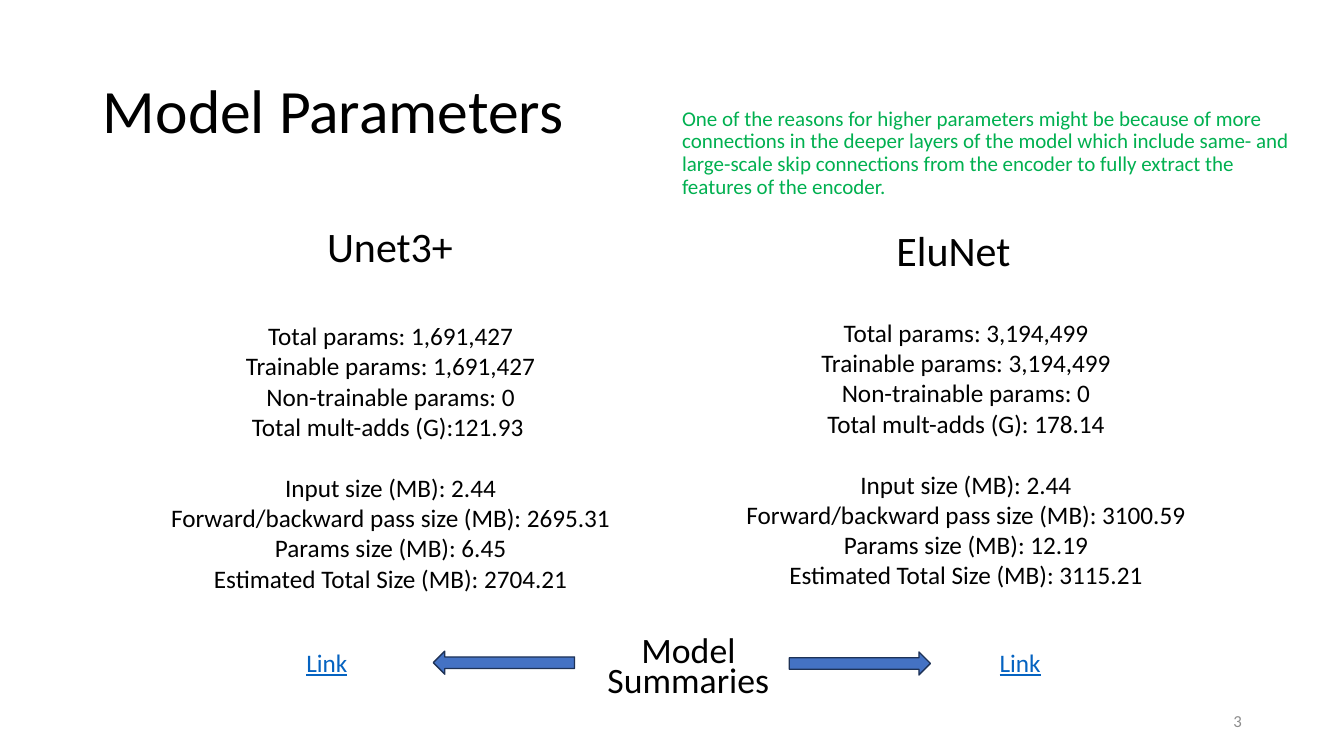
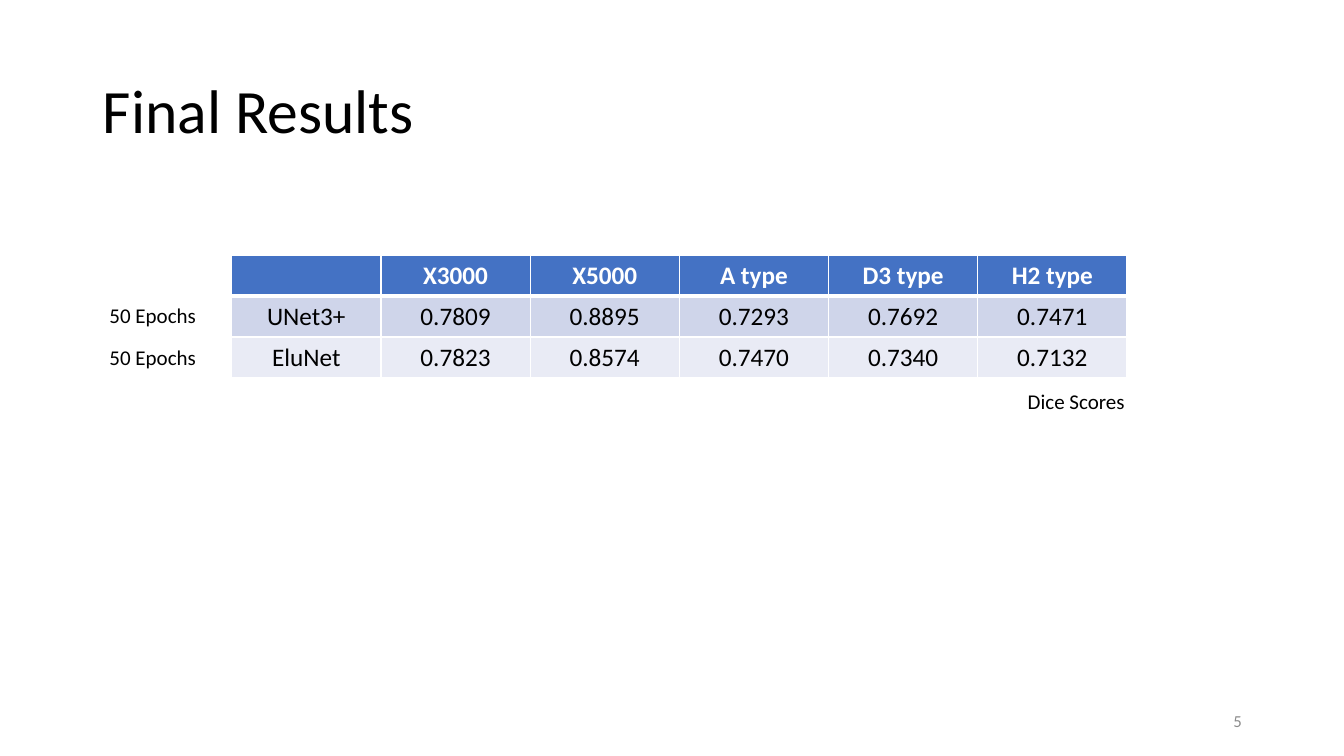
from lxml import etree
from pptx import Presentation
from pptx.dml.color import RGBColor
from pptx.enum import shapes, text
from pptx.oxml import ns
from pptx.util import Cm, Pt

FONT = "Calibri"
BLACK, WHITE, BLUE, NAVY = "000000", "FFFFFF", "4472C4", "1E3256"
GREEN, LINK, GREY = "00B050", "0563C1", "8C8C8C"
BANDS = ["CFD5EA", "E9EBF5"]
LEFT, MID, RIGHT = text.PP_ALIGN.LEFT, text.PP_ALIGN.CENTER, text.PP_ALIGN.RIGHT

SPECS = [
    "Total params: {}",
    "Trainable params: {}",
    "Non-trainable params: {}",
    "Total mult-adds (G):{}",
    "Input size (MB): {}",
    "Forward/backward pass size (MB): {}",
    "Params size (MB): {}",
    "Estimated Total Size (MB): {}",
]
UNET = ["1,691,427", "1,691,427", "0", "121.93 ", "2.44", "2695.31", "6.45", "2704.21"]
ELU = ["3,194,499", "3,194,499", "0", " 178.14", "2.44", "3100.59", "12.19", "3115.21"]
NOTE = (
    "One of the reasons for higher parameters might be because of more connections "
    "in the deeper layers of the model which include same- and large-scale skip "
    "connections from the encoder to fully extract the features of the encoder."
)
SCORES = [
    ["", "X3000", "X5000", "A type", "D3 type", "H2 type"],
    ["UNet3+", "0.7809", "0.8895", "0.7293", "0.7692", "0.7471"],
    ["EluNet", "0.7823", "0.8574", "0.7470", "0.7340", "0.7132"],
]


def rgb(code):
    return RGBColor.from_string(code)


def style(para, size, color=BLACK, align=LEFT, bold=False, space=None):
    para.alignment = align
    para.line_spacing = space
    font = para.font
    font.name, font.size, font.bold = FONT, Pt(size), bold
    font.color.rgb = rgb(color)


def add_text(slide, box, words, size, color=BLACK, align=LEFT, space=0.9):
    """Add one paragraph, centred vertically in its box."""
    frame = slide.shapes.add_textbox(*map(Cm, box)).text_frame
    frame.word_wrap = True
    frame.vertical_anchor = text.MSO_ANCHOR.MIDDLE
    frame.text = words
    style(frame.paragraphs[0], size, color, align, space=space)
    return frame


def add_slide(deck, title, number):
    slide = deck.slides.add_slide(deck.slide_layouts[5])
    head = slide.shapes.title
    head.left, head.top, head.width, head.height = map(Cm, (2.34, 1.02, 29.21, 3.68))
    frame = head.text_frame
    frame.text = title
    frame.auto_size = text.MSO_AUTO_SIZE.NONE
    frame.vertical_anchor = text.MSO_ANCHOR.MIDDLE
    style(frame.paragraphs[0], 44, space=0.9)
    add_text(slide, (23.93, 17.65, 7.62, 1.02), str(number), 12, GREY, RIGHT, 1)
    return slide


def add_specs(slide, box, values):
    """List the model's figures, with a gap before the sizes."""
    frame = slide.shapes.add_textbox(*map(Cm, box)).text_frame
    frame.word_wrap = True
    frame.text = "\n".join(s.format(v) for s, v in zip(SPECS, values))
    for para in frame.paragraphs:
        style(para, 18, align=MID)
    frame.paragraphs[4].space_before = Pt(22)


def add_link(slide, left):
    frame = add_text(slide, (left, 16.18, 1.55, 1.02), "Link", 18, LINK, space=1)
    frame.word_wrap = False
    frame.paragraphs[0].font.underline = True


def add_arrow(slide, kind, left, top):
    arrow = slide.shapes.add_shape(kind, Cm(left), Cm(top), Cm(3.56), Cm(0.58))
    arrow.shadow.inherit = False
    arrow.fill.solid()
    arrow.fill.fore_color.rgb = rgb(BLUE)
    arrow.line.color.rgb = rgb(NAVY)
    arrow.line.width = Pt(1)


def add_edges(cell, widths):
    """Draw white borders; widths are in points, by side."""
    props = cell._tc.get_or_add_tcPr()
    for side, width in widths.items():
        line = etree.SubElement(props, ns.qn(f"a:ln{side}"), w=str(Pt(width)))
        fill = etree.SubElement(line, ns.qn("a:solidFill"))
        etree.SubElement(fill, ns.qn("a:srgbClr"), val=WHITE)


def add_scores(slide, left, top, wide, high):
    rows, cols = len(SCORES), len(SCORES[0])
    grid = slide.shapes.add_table(
        rows, cols, Cm(left), Cm(top), Cm(wide * cols), Cm(high * rows)
    ).table
    for r, row in enumerate(SCORES):
        head = r == 0
        for c, words in enumerate(row):
            cell = grid.cell(r, c)
            add_edges(cell, {"L": 1, "R": 1, "T": 3 if r == 1 else 1, "B": 3 if head else 1})
            cell.fill.solid()
            cell.fill.fore_color.rgb = rgb(BLUE if head else BANDS[r - 1])
            cell.vertical_anchor = text.MSO_ANCHOR.MIDDLE
            cell.text = words
            style(cell.text_frame.paragraphs[0], 18, WHITE if head else BLACK, MID, head)


def build_params(deck):
    slide = add_slide(deck, "Model Parameters", 3)
    add_specs(slide, (3, 7.95, 13.69, 7.19), UNET)
    add_specs(slide, (17.83, 7.87, 13.03, 7.19), ELU)
    add_text(slide, (6.73, 5.36, 6.2, 1.85), "Unet3+", 30, align=MID)
    add_text(slide, (20.93, 5.44, 6.2, 1.85), "EluNet", 30, align=MID)
    add_text(slide, (14.25, 15.95, 6.2, 1.85), "Model Summaries", 25.5, align=MID, space=0.7)
    add_arrow(slide, shapes.MSO_SHAPE.LEFT_ARROW, 10.92, 16.41)
    add_arrow(slide, shapes.MSO_SHAPE.RIGHT_ARROW, 19.89, 16.43)
    add_text(slide, (16.94, 2.34, 16.28, 3.05), NOTE, 15, GREEN)
    for left in (7.47, 24.94):
        add_link(slide, left)


def build_results(deck):
    slide = add_slide(deck, "Final Results", 5)
    add_scores(slide, 5.84, 6.43, 3.76, 1.03)
    add_text(slide, (25.65, 9.53, 3.66, 1.24), "Dice Scores", 15)
    for top in (7.37, 8.43):
        add_text(slide, (2.51, top, 3.66, 1.24), "50 Epochs", 15)


def main():
    deck = Presentation()
    deck.slide_width, deck.slide_height = Cm(33.87), Cm(19.05)
    build_params(deck)
    build_results(deck)
    deck.save("out.pptx")


if __name__ == "__main__":
    main()
